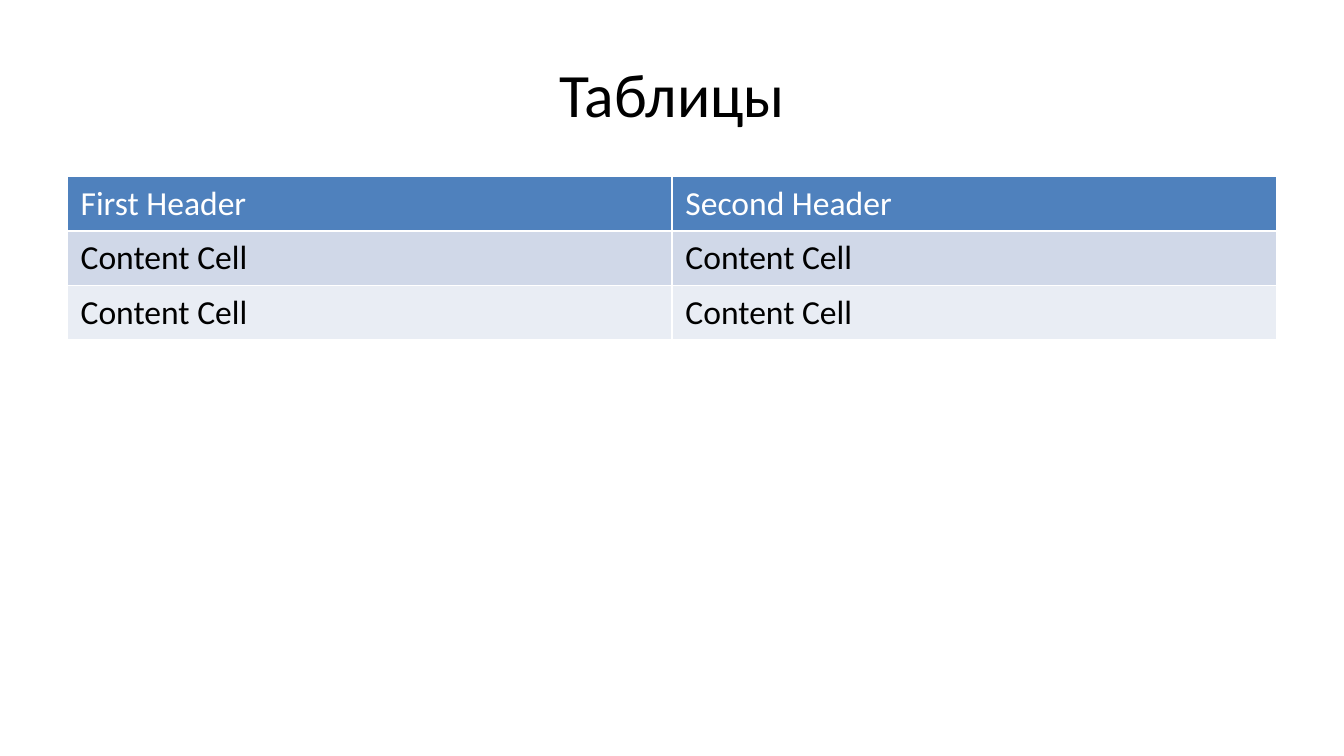
from lxml import etree
from pptx import Presentation, util as u
from pptx.dml.color import RGBColor
from pptx.enum import text
from pptx.oxml.ns import qn

COLORS = {"ink": "000000", "white": "FFFFFF", "header": "4F81BD",
          "band_dark": "D0D8E8", "band_light": "E9EDF4"}
COLS, ROWS = 20, 24  # layout grid of the slide


def rgb(name):
    return RGBColor.from_string(COLORS[name])


def write(tf, content, size=18, color="ink", font="Calibri",
          align=text.PP_ALIGN.LEFT):
    p = tf.paragraphs[0]
    p.alignment = align
    r = p.add_run()
    r.text = content
    r.font.name, r.font.size = font, u.Pt(size)
    r.font.color.rgb = rgb(color)


def add_borders(cell, width=1):
    """Draw white cell borders; the width is in points."""
    tc_pr = cell._tc.get_or_add_tcPr()
    for i, side in enumerate(("lnL", "lnR", "lnT", "lnB")):
        ln = etree.Element(qn(f"a:{side}"), w=str(u.Pt(width)))
        fill = etree.SubElement(ln, qn("a:solidFill"))
        etree.SubElement(fill, qn("a:srgbClr"), val=COLORS["white"])
        tc_pr.insert(i, ln)  # borders come before the fill


class Deck:
    def __init__(self, width, height):
        self.prs = Presentation()
        self.prs.slide_width, self.prs.slide_height = u.Inches(width), u.Inches(height)
        self.s = self.prs.slides.add_slide(self.prs.slide_layouts[6])
        self.s.background.fill.solid()
        self.s.background.fill.fore_color.rgb = rgb("white")

    def box(self, col, row, cols, rows):
        w, h = self.prs.slide_width / COLS, self.prs.slide_height / ROWS
        return [round(v) for v in (col * w, row * h, cols * w, rows * h)]

    def title(self, content, *place):
        tf = self.s.shapes.add_textbox(*self.box(*place)).text_frame
        tf.word_wrap = True
        tf.vertical_anchor = text.MSO_ANCHOR.MIDDLE
        write(tf, content, size=33, align=text.PP_ALIGN.CENTER)

    def table(self, data, col, row, cols, row_height):
        place = self.box(col, row, cols, row_height * len(data))
        table = self.s.shapes.add_table(len(data), len(data[0]), *place).table
        for i, values in enumerate(data):
            header = i == 0
            fill = "header" if header else ("band_light", "band_dark")[i % 2]
            for j, value in enumerate(values):
                cell = table.cell(i, j)
                cell.fill.solid()
                cell.fill.fore_color.rgb = rgb(fill)
                write(cell.text_frame, value, color="white" if header else "ink")
                add_borders(cell)


def main():
    deck = Deck(10, 10 * 9 / 16)

    # Heading
    deck.title("Таблицы", 1, 0.96, 18, 4)

    # Table with a header and two banded rows
    deck.table([["First Header", "Second Header"]] + [["Content Cell"] * 2] * 2,
               1, 5.6, 18, 1.73)

    deck.prs.save("out.pptx")


if __name__ == "__main__":
    main()
